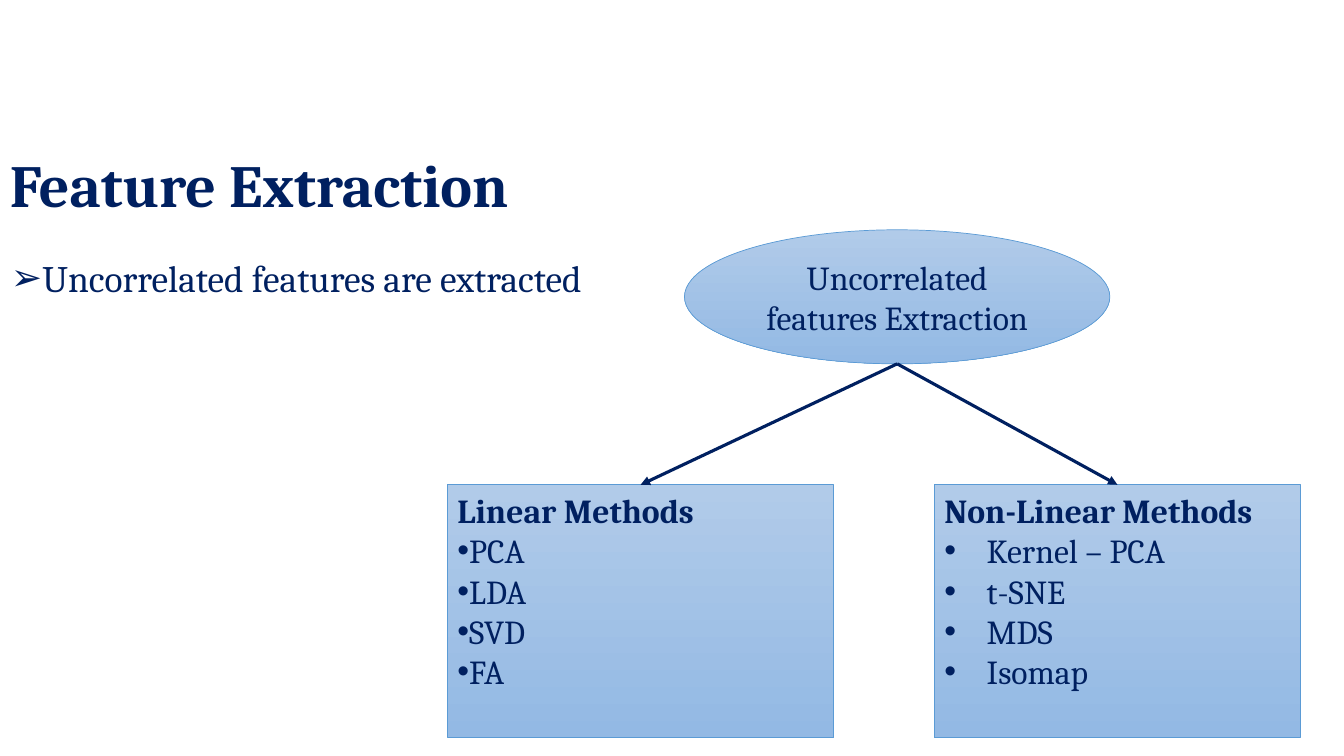
import pptx
import pptx.util
import pptx.dml.color
import pptx.enum.dml
import pptx.enum.shapes
import pptx.enum.text
import pptx.oxml
import pptx.oxml.ns
from dataclasses import dataclass

SHAPES = pptx.enum.shapes.MSO_SHAPE
ANCHORS = pptx.enum.text.MSO_ANCHOR
ALIGN = pptx.enum.text.PP_ALIGN


@dataclass(frozen=True)
class Theme:
    font: str = "Cambria"
    ink: str = "002060"
    fill_top: str = "B1CBE9"
    fill_bottom: str = "93B9E4"
    outline: str = "5B9BD5"
    title_size: float = 42.7
    body_size: float = 26.7
    node_size: float = 24
    outline_width: float = 0.5
    arrow_width: float = 2.25


THEME = Theme()
WIDTH, HEIGHT = pptx.util.Inches(13.33), pptx.util.Inches(7.5)
COLUMNS = ROWS = 100  # the slide is a grid of hundredths
BOX_ROW, BOX_ROWS = 64.13, 33.47


def place(column, row, columns, rows):
    return (round(WIDTH * column / COLUMNS), round(HEIGHT * row / ROWS),
            round(WIDTH * columns / COLUMNS), round(HEIGHT * rows / ROWS))


def rgb(code):
    return pptx.dml.color.RGBColor.from_string(code)


def xml_child(parent, tag, **attributes):
    child = pptx.oxml.parse_xml(f"<a:{tag} {pptx.oxml.ns.nsdecls('a')}/>")
    for name, value in attributes.items():
        child.set(name, value)
    parent.append(child)


def write(paragraph, wording, size, bold=False):
    run = paragraph.add_run()
    run.text = wording
    run.font.name = THEME.font
    run.font.size = pptx.util.Pt(size)
    run.font.bold = bold
    run.font.color.rgb = rgb(THEME.ink)


def add_bullet(paragraph, symbol, indent):
    properties = paragraph._p.get_or_add_pPr()
    margin = pptx.util.Inches(indent)
    properties.set("marL", str(margin))
    properties.set("indent", str(-margin))
    xml_child(properties, "buFont", typeface="Arial")
    xml_child(properties, "buChar", char=symbol)


def add_text(slide, area, wording, size, bold=False, anchor=ANCHORS.TOP):
    frame = slide.shapes.add_textbox(*area).text_frame
    frame.word_wrap = True
    frame.vertical_anchor = anchor
    paragraph = frame.paragraphs[0]
    paragraph.line_spacing = 0.9
    write(paragraph, wording, size, bold)
    return paragraph


def add_node(slide, outline, area, anchor):
    node = slide.shapes.add_shape(outline, *area)
    node.shadow.inherit = False
    node.fill.gradient()
    node.fill.gradient_angle = 270
    for stop, code in zip(node.fill.gradient_stops, (THEME.fill_top, THEME.fill_bottom)):
        stop.color.rgb = rgb(code)
    node.line.color.rgb = rgb(THEME.outline)
    node.line.width = pptx.util.Pt(THEME.outline_width)
    node.text_frame.word_wrap = True
    node.text_frame.vertical_anchor = anchor
    return node


def add_method_box(slide, column, columns, heading, methods, indent):
    box = add_node(slide, SHAPES.RECTANGLE, place(column, BOX_ROW, columns, BOX_ROWS), ANCHORS.TOP)
    frame = box.text_frame
    frame.paragraphs[0].alignment = ALIGN.LEFT
    write(frame.paragraphs[0], heading, THEME.node_size, bold=True)
    for method in methods:
        paragraph = frame.add_paragraph()
        paragraph.alignment = ALIGN.LEFT
        add_bullet(paragraph, "•", indent)
        write(paragraph, method, THEME.node_size)
    return box


def add_arrow(slide, parent, child):
    arrow = slide.shapes.add_connector(
        pptx.enum.shapes.MSO_CONNECTOR.STRAIGHT,
        parent.left + parent.width // 2, parent.top + parent.height,
        child.left + child.width // 2, child.top)
    arrow.line.color.rgb = rgb(THEME.ink)
    arrow.line.width = pptx.util.Pt(THEME.arrow_width)
    xml_child(arrow.line._get_or_add_ln(), "tailEnd", type="triangle")
    xml_child(arrow._element.spPr, "effectLst")


def main():
    deck = pptx.Presentation()
    deck.slide_width, deck.slide_height = WIDTH, HEIGHT
    slide = deck.slides.add_slide(deck.slide_layouts[6])

    # Title and statement
    add_text(slide, place(0, 19.07, 100, 11.73), "Feature Extraction",
             THEME.title_size, bold=True, anchor=ANCHORS.MIDDLE)
    statement = add_text(slide, place(0.08, 33.73, 48.08, 11.47),
                         "Uncorrelated features are extracted", THEME.body_size)
    statement.space_before = pptx.util.Pt(10)
    add_bullet(statement, "➢", 0.25)

    # Root of the tree
    extraction = add_node(slide, SHAPES.OVAL, place(50.93, 30.4, 31.65, 17.73), ANCHORS.MIDDLE)
    root_line = extraction.text_frame.paragraphs[0]
    root_line.alignment = ALIGN.CENTER
    write(root_line, "Uncorrelated features Extraction", THEME.node_size)

    # Families of methods, each joined to the root
    families = (
        (33.3, 28.73, "Linear Methods", ("PCA", "LDA", "SVD", "FA"), 0),
        (69.53, 27.23, "Non-Linear Methods", ("Kernel – PCA", "t-SNE", "MDS", "Isomap"), 0.42),
    )
    for family in families:
        add_arrow(slide, extraction, add_method_box(slide, *family))

    deck.save("out.pptx")


if __name__ == "__main__":
    main()
